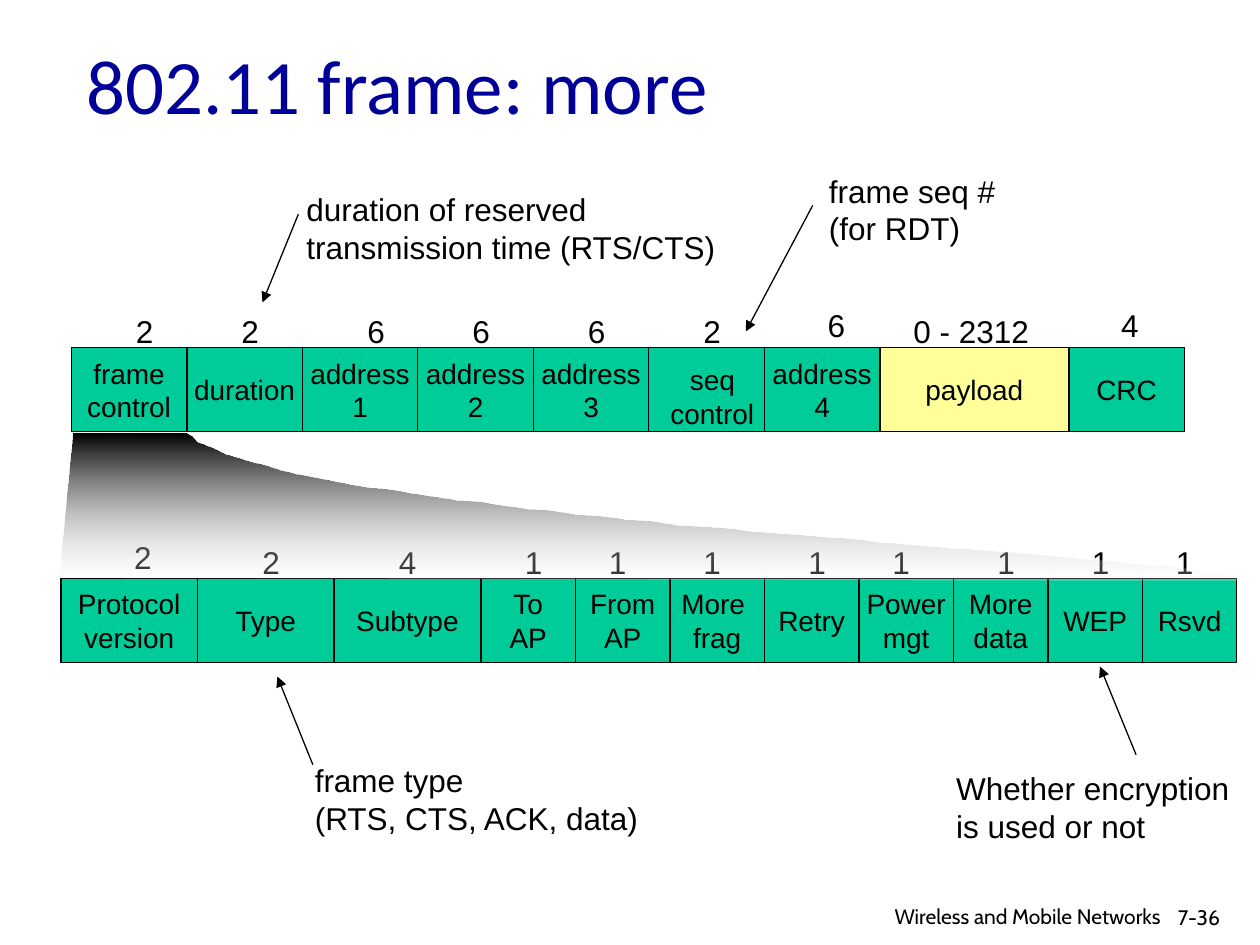
from lxml.etree import SubElement
from pptx import Presentation
from pptx.dml.color import RGBColor
from pptx.enum.shapes import MSO_CONNECTOR, MSO_SHAPE
from pptx.enum.text import MSO_ANCHOR, MSO_AUTO_SIZE, PP_ALIGN
from pptx.oxml.ns import qn
from pptx.util import Pt

THEME = {
    "black": "000000", "white": "FFFFFF", "title": "000099",
    "field": "00CC99", "payload": "FFFF99",
    "body_font": "Arial", "title_font": "Calibri", "footer_font": "Cabin",
    "title_size": 44, "number_size": 18, "field_size": 16, "footer_size": 12,
    "line": 0.75,
}

# Content: field label, width, size text, left and top of the size text
TITLE = "802.11 frame: more"
FRAME_FIELDS = [
    ("frame\ncontrol", 66, "2", 70.5, 175),
    ("duration", 66, "2", 130.8, 175),
    ("address\n1", 66, "6", 202.8, 175),
    ("address\n2", 66, "6", 262.8, 175),
    ("address\n3", 66, "6", 328.8, 175),
    ("", 66, "2", 394.8, 175),
    ("address\n4", 66, "6", 465.8, 171.5),
    ("payload", 108, "0 - 2312", 514.8, 175),
    ("CRC", 66, "4", 633.6, 171.5),
]
CONTROL_FIELDS = [
    ("Protocol\nversion", 78, "2", 69.5, 303.8),
    ("Type", 78, "2", 142.8, 306.8),
    ("Subtype", 84, "4", 220.8, 306.8),
    ("To\nAP", 54, "1", 292.8, 306.8),
    ("From\nAP", 54, "1", 340.8, 306.8),
    ("More \nfrag", 54, "1", 394.8, 306.8),
    ("Retry", 54, "1", 454.8, 306.8),
    ("Power\nmgt", 54, "1", 502.8, 306.8),
    ("More\ndata", 54, "1", 562.8, 306.8),
    ("WEP", 54, "1", 616.8, 306.8),
    ("Rsvd", 54, "1", 664.8, 306.8),
]
SEQUENCE_LABEL = ("seq\ncontrol", (375.8, 203.8, 62.6, 46))
NOTES = [
    ("duration of reserved\ntransmission time (RTS/CTS)", (168, 105, 250.6, 51)),
    ("frame seq #\n(for RDT)", (466.6, 94.5, 110, 51)),
    ("frame type\n(RTS, CTS, ACK, data)", (172.8, 431.5, 203, 50.5)),
    ("Whether encryption \vis used or not", (539.3, 435.8, 177, 51)),
]
ARROWS = [
    (170.5, 122.4, 150, 172.8),
    (464.4, 117.4, 426.2, 189.4),
    (178.8, 437, 158.5, 386.6),
    (649.2, 431.3, 628.6, 380.9),
]
FIELD_HEIGHT = 48


def set_text(shape, text, font=THEME["body_font"], size=THEME["number_size"],
             color=THEME["black"], align=PP_ALIGN.LEFT, anchor=MSO_ANCHOR.TOP,
             wrap=False):
    frame = shape.text_frame
    frame.auto_size = MSO_AUTO_SIZE.NONE
    frame.word_wrap = wrap
    frame.vertical_anchor = anchor
    for index, line in enumerate(text.split("\n")):
        paragraph = frame.add_paragraph() if index else frame.paragraphs[0]
        paragraph.text = line
        paragraph.alignment = align
        for run in paragraph.runs:
            run.font.name = font
            run.font.size = Pt(size)
            run.font.color.rgb = RGBColor.from_string(color)


def add_text(shapes, text, box, **text_format):
    shape = shapes.add_textbox(*map(Pt, box))
    set_text(shape, text, **text_format)


def add_field_row(slide, fields, left, top):
    shapes = slide.shapes.add_group_shape().shapes
    for label, width, *_ in fields:
        cell = shapes.add_shape(MSO_SHAPE.RECTANGLE, Pt(left), Pt(top),
                                Pt(width), Pt(FIELD_HEIGHT))
        cell.shadow.inherit = False
        cell.fill.solid()
        color = THEME["payload" if label == "payload" else "field"]
        cell.fill.fore_color.rgb = RGBColor.from_string(color)
        cell.line.color.rgb = RGBColor.from_string(THEME["black"])
        cell.line.width = Pt(THEME["line"])
        if label:
            set_text(cell, label, size=THEME["field_size"],
                     align=PP_ALIGN.CENTER, anchor=MSO_ANCHOR.MIDDLE)
        left += width
    for _, _, size_text, number_left, number_top in fields:
        width = 80.6 if len(size_text) > 1 else 24.4
        add_text(shapes, size_text, (number_left, number_top, width, 29))
    return shapes


def curve_points(start, control_1, control_2, end, steps=60):
    for step in range(1, steps + 1):
        t = step / steps
        u = 1 - t
        yield tuple(u**3 * a + 3 * u * u * t * b + 3 * u * t * t * c + t**3 * d
                    for a, b, c, d in zip(start, control_1, control_2, end))


def add_zoom_wedge(slide):
    corner = (707.8, 331.9)
    points = [(34, 330.5), corner]
    points += curve_points(corner, (720, 317.5), (155.5, 298.8), (106.8, 247.7))
    builder = slide.shapes.build_freeform(41.8, 247.7, scale=Pt(1))
    builder.add_line_segments(points, close=True)
    wedge = builder.convert_to_shape()
    wedge.shadow.inherit = False
    wedge.line.fill.background()
    wedge.fill.gradient()
    wedge.fill.gradient_angle = 270
    for stop, color in zip(wedge.fill.gradient_stops, ("black", "white")):
        stop.color.rgb = RGBColor.from_string(THEME[color])
    # The lower end of the gradient is nearly clear
    last_color = list(wedge.element.iter(qn("a:srgbClr")))[-1]
    SubElement(last_color, qn("a:alpha"), val="18000")


def add_arrow(slide, *ends):
    arrow = slide.shapes.add_connector(MSO_CONNECTOR.STRAIGHT, *map(Pt, ends))
    arrow.line.color.rgb = RGBColor.from_string(THEME["black"])
    arrow.line.width = Pt(THEME["line"])
    SubElement(arrow.line._get_or_add_ln(), qn("a:tailEnd"), type="triangle")
    SubElement(arrow.element.spPr, qn("a:effectLst"))


def main():
    presentation = Presentation()
    presentation.slide_width, presentation.slide_height = Pt(720), Pt(540)
    slide = presentation.slides.add_slide(presentation.slide_layouts[5])

    # Title
    title = slide.shapes.title
    title.left, title.top, title.width, title.height = map(Pt, (42, 18, 612, 90))
    set_text(title, TITLE, font=THEME["title_font"], size=THEME["title_size"],
             color=THEME["title"], wrap=True)

    # Frame and its control field, joined by the wedge
    frame_shapes = add_field_row(slide, FRAME_FIELDS, 40.8, 198.7)
    label, box = SEQUENCE_LABEL
    add_text(frame_shapes, label, box, size=THEME["field_size"],
             align=PP_ALIGN.CENTER)
    add_field_row(slide, CONTROL_FIELDS, 34.8, 330.5)
    add_zoom_wedge(slide)

    # Notes and arrows
    for text, box in NOTES:
        add_text(slide.shapes, text, box)
    for ends in ARROWS:
        add_arrow(slide, *ends)

    # Footer
    footer = {"font": THEME["footer_font"], "size": THEME["footer_size"], "wrap": True}
    add_text(slide.shapes, "7-36", (666, 513.4, 54, 21.6), **footer)
    add_text(slide.shapes, "Wireless and Mobile Networks ",
             (460.8, 512.6, 212.4, 20.2), align=PP_ALIGN.RIGHT, **footer)

    presentation.save("out.pptx")


if __name__ == "__main__":
    main()
